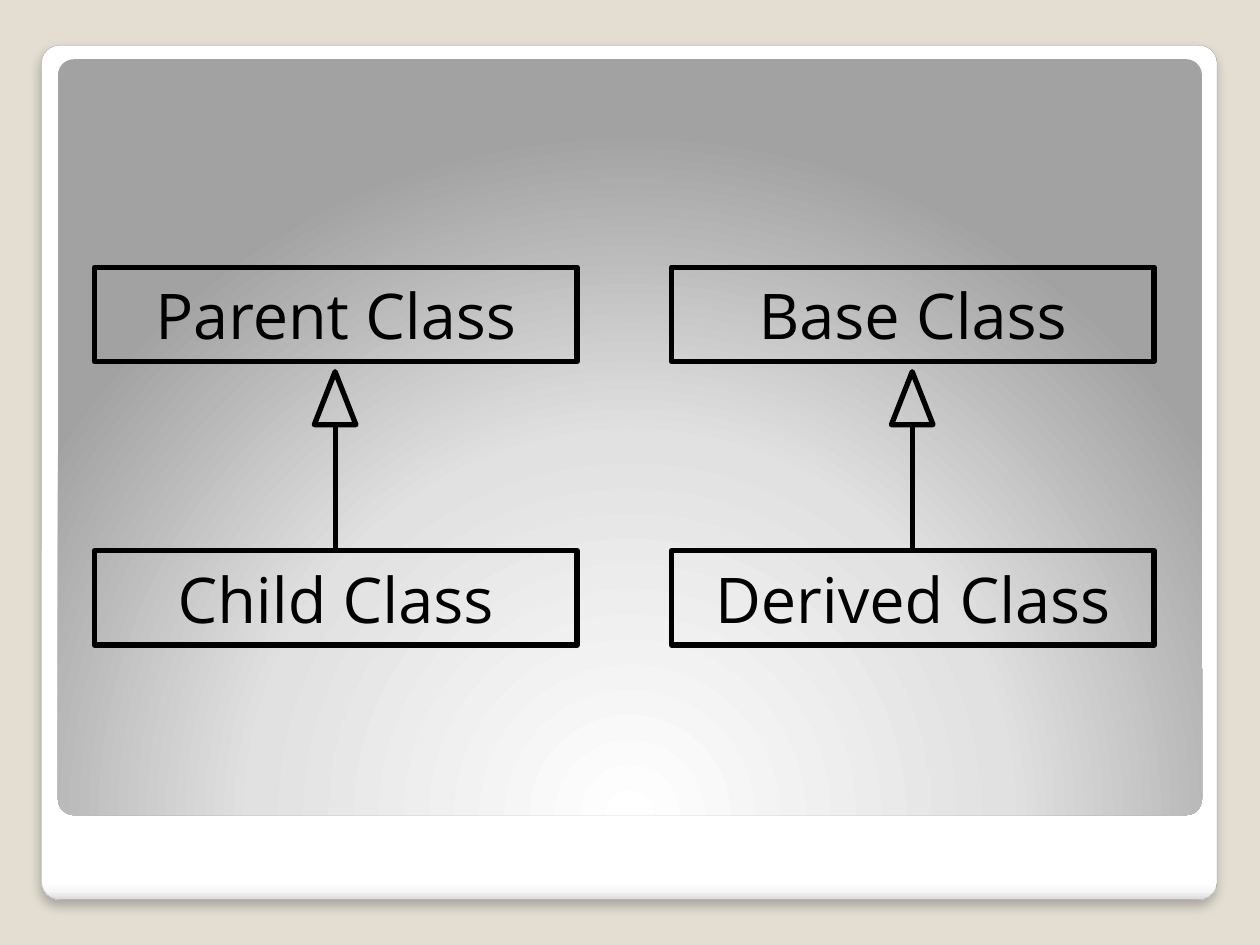
"""Builds a slide with two class inheritance diagrams."""
from pptx import Presentation as Deck
from pptx.dml.color import RGBColor as Rgb
from pptx.enum.shapes import MSO_CONNECTOR as Wire, MSO_SHAPE as Kind
from pptx.enum.text import MSO_ANCHOR as Anchor, PP_ALIGN as Align
from pptx.oxml import parse_xml as to_xml
from pptx.oxml.ns import nsdecls
from pptx.util import Inches, Pt

HUES = {"back": "E3DED1", "edge": "A4A4A4", "ink": "000000"}
FONT = {"name": "Open Sans", "size": Pt(36)}
FRAME = {"word_wrap": False, "vertical_anchor": Anchor.MIDDLE}
CARD = [(0, "FFFFFF"), (98, "FFFFFF"), (99, "F7F7F7"), (100, "DADADA")]
PANEL = [(0, "FFFFFF"), (55, "E1E1E1"), (100, "A2A2A2")]
DOWN = '<a:lin ang="5400000" scaled="0"/>'
GLOW = ('<a:path path="circle"><a:fillToRect l="50000" t="175000" '
        'r="50000" b="-75000"/></a:path>')
WIDE, HIGH = 3.83, 0.75
TOP, LOW = 2.12, 4.37
PAIRS = [(0.75, "Parent Class", "Child Class"),
         (5.33, "Base Class", "Derived Class")]


def put(obj, vals):
    for key, val in vals.items():
        setattr(obj, key, val)


def tint(name):
    return Rgb.from_string(HUES[name])


def rule(line, name, size):
    line.color.rgb = tint(name)
    line.width = Pt(size)


def shape(slide, kind, *box):
    item = slide.shapes.add_shape(kind, *map(Inches, box))
    item.shadow.inherit = False
    return item


def plate(slide, box, stops, way):
    item = shape(slide, Kind.ROUNDED_RECTANGLE, *box)
    item.adjustments[0] = 0.021
    marks = "".join(f'<a:gs pos="{pos * 1000}"><a:srgbClr val="{hue}"/></a:gs>'
                    for pos, hue in stops)
    item._element.spPr.insert(2, to_xml(
        f'<a:gradFill {nsdecls("a")} rotWithShape="1">'
        f'<a:gsLst>{marks}</a:gsLst>{way}</a:gradFill>'))
    item.line.fill.background()
    return item


def shade(item):
    item._element.spPr.find("{*}effectLst").append(to_xml(
        f'<a:outerShdw {nsdecls("a")} blurRad="{Pt(6)}" dist="{Pt(4)}" '
        f'dir="5400000" algn="t" rotWithShape="0"><a:srgbClr '
        f'val="{HUES["ink"]}"><a:alpha val="25000"/></a:srgbClr>'
        f'</a:outerShdw>'))


def hollow(slide, kind, *box):
    item = shape(slide, kind, *box)
    item.fill.background()
    rule(item.line, "ink", 3)
    return item


def label(slide, left, top, text):
    frame = hollow(slide, Kind.RECTANGLE, left, top, WIDE, HIGH).text_frame
    put(frame, FRAME)
    para = frame.paragraphs[0]
    para.alignment = Align.CENTER
    run = para.add_run()
    run.text = text
    put(run.font, FONT)
    run.font.color.rgb = tint("ink")


def arrow(slide, mid):
    ends = map(Inches, (mid, 4.35, mid, 3.39))
    stem = slide.shapes.add_connector(Wire.STRAIGHT, *ends)
    rule(stem.line, "ink", 3)
    stem._element.spPr.append(to_xml(f'<a:effectLst {nsdecls("a")}/>'))
    hollow(slide, Kind.ISOSCELES_TRIANGLE, mid - 0.17, 2.95, 0.33, 0.42)


def main():
    deck = Deck()
    put(deck, {"slide_width": Inches(10), "slide_height": Inches(7.5)})
    slide = deck.slides.add_slide(deck.slide_layouts[6])
    fill = slide.background.fill
    fill.solid()
    fill.fore_color.rgb = tint("back")
    card = plate(slide, (0.33, 0.36, 9.33, 6.78), CARD, DOWN)
    rule(card.line, "edge", 0.16)
    shade(card)
    plate(slide, (0.46, 0.47, 9.08, 6), PANEL, GLOW)
    for left, base, child in PAIRS:
        label(slide, left, TOP, base)
        label(slide, left, LOW, child)
        arrow(slide, left + WIDE / 2)
    deck.save("out.pptx")


main()
